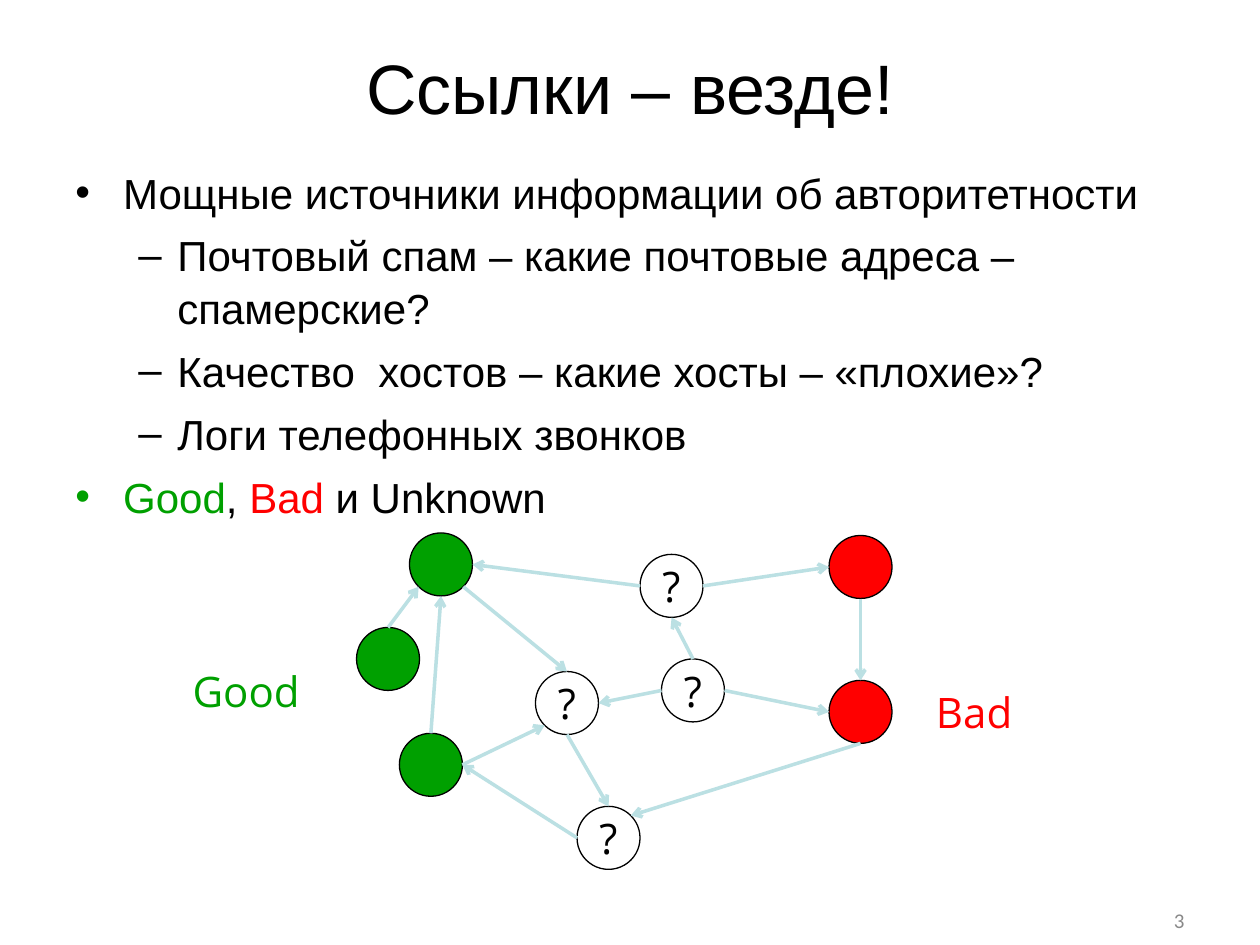
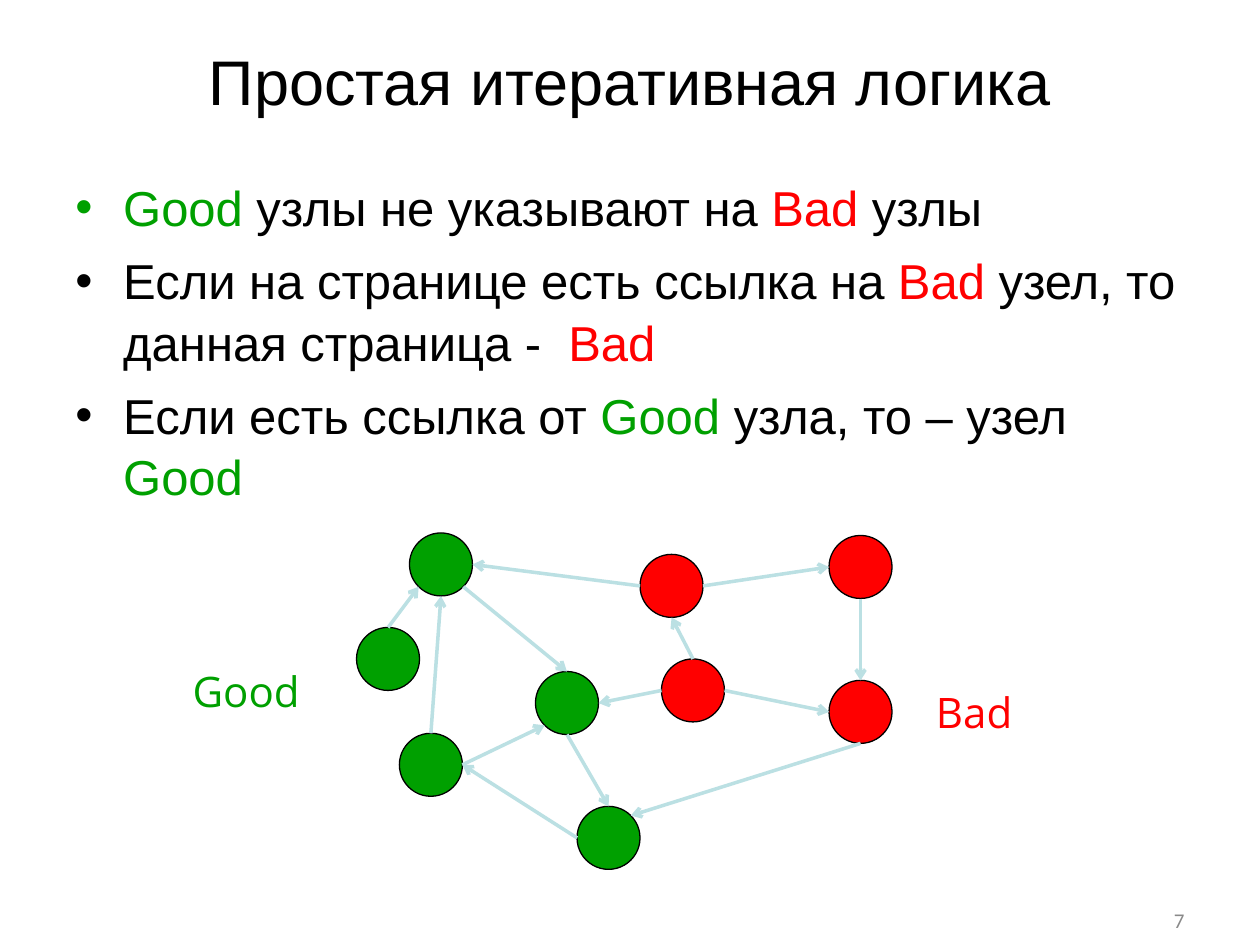
"""Build two slides on how good and bad nodes link in a graph."""
from math import cos, radians, sin

from lxml import etree
from pptx import Presentation
from pptx.dml.color import RGBColor
from pptx.enum.shapes import MSO_CONNECTOR, MSO_SHAPE
from pptx.enum.text import MSO_ANCHOR, MSO_AUTO_SIZE, PP_ALIGN
from pptx.oxml.ns import qn
from pptx.util import Inches, Pt

BLACK = RGBColor(0, 0, 0)
WHITE = RGBColor(255, 255, 255)
GREEN = RGBColor(0, 160, 0)
RED = RGBColor(255, 0, 0)
GREY = RGBColor(137, 137, 137)
PALE = RGBColor(187, 224, 227)
TONES = {"Good": GREEN, "Bad": RED}
FILLS = {"Good": GREEN, "Bad": RED, "?": WHITE}

LEFT, CENTER, RIGHT = PP_ALIGN.LEFT, PP_ALIGN.CENTER, PP_ALIGN.RIGHT
TOP, MIDDLE, BOTTOM = MSO_ANCHOR.TOP, MSO_ANCHOR.MIDDLE, MSO_ANCHOR.BOTTOM
FIXED = MSO_AUTO_SIZE.NONE
OVAL, LINE = MSO_SHAPE.OVAL, MSO_CONNECTOR.STRAIGHT

WIDE, HIGH = 10, 7.5
EDGE = 0.05 * WIDE
SPAN = WIDE - 2 * EDGE
SIZE = 0.5
LEVELS = [("•", 0.38, 0.38), ("–", 0.81, 0.31)]

SLIDES = [
    {
        "title": "Ссылки – везде!", "big": 40, "deep": 0.77, "page": "3",
        "top": 1.23, "pt": 24, "gap": 6, "unknown": "????",
        "points": [
            (0, "Мощные источники информации об авторитетности"),
            (1, "Почтовый спам – какие почтовые адреса – спамерские?"),
            (1, "Качество  хостов – какие хосты – «плохие»?"),
            (1, "Логи телефонных звонков"),
            (0, "Good|, |Bad| и Unknown"),
        ],
        "state": {"hub": "?", "mid": "?", "fork": "?", "low": "?"},
    },
    {
        "title": "Простая итеративная логика", "big": 36, "deep": 0.69, "page": "7",
        "top": 1.31, "pt": 28, "gap": 7,
        "points": [
            (0, "Good| узлы не указывают на |Bad| узлы"),
            (0, "Если на странице есть ссылка на |Bad| узел, то данная страница -  |Bad"),
            (0, "Если есть ссылка от |Good| узла, то – узел |Good"),
        ],
        "state": {"hub": "Bad", "mid": "Good", "fork": "Bad", "low": "Good"},
    },
]
SLIDES[0].pop("unknown")

KNOWN = {"west": "Good", "peak": "Good", "base": "Good", "east": "Bad", "sink": "Bad"}
NODES = {
    "west": (2.83, 4.98), "hub": (5.08, 4.4), "mid": (4.25, 5.33),
    "low": (4.58, 6.4), "east": (6.58, 4.25), "sink": (6.58, 5.4),
    "peak": (3.25, 4.23), "base": (3.17, 5.82), "fork": (5.25, 5.23),
}
LABELS = [("Good", 1.43, 5.23, 1.05), ("Bad", 7.33, 5.4, 0.81)]
ANGLES = {"E": 0, "SE": 45, "S": 90, "SW": 135, "W": 180, "N": 270, "NE": 315}
LINKS = [
    ("west", "N", "peak", "SW"), ("base", "N", "peak", "S"),
    ("east", "S", "sink", "N"), ("fork", "E", "sink", "W"),
    ("peak", "SE", "mid", "N"), ("hub", "W", "peak", "E"),
    ("hub", "E", "east", "W"), ("fork", "W", "mid", "E"),
    ("sink", "S", "low", "NE"), ("low", "W", "base", "E"),
    ("base", "E", "mid", "SW"), ("mid", "S", "low", "N"),
    ("fork", "N", "hub", "S"),
]


def box(*sizes):
    return [Inches(size) for size in sizes]


def frame(shape, **extra):
    style = {"auto_size": FIXED, "word_wrap": True, "vertical_anchor": TOP} | extra
    for key, value in style.items():
        setattr(shape.text_frame, key, value)
    return shape.text_frame


def write(para, text, size, font="Arial", color=BLACK, align=LEFT):
    para.alignment = align
    for part in text.split("|"):
        run = para.add_run()
        run.text = part
        for key, value in {"size": Pt(size), "name": font}.items():
            setattr(run.font, key, value)
        run.font.color.rgb = TONES.get(part, color)


def bullet(para, level, color):
    mark, indent, hang = LEVELS[level]
    para.level = level
    props = para._p.get_or_add_pPr()
    props.set("marL", str(Inches(indent)))
    props.set("indent", str(-Inches(hang)))
    tint = etree.SubElement(props, qn("a:buClr"))
    etree.SubElement(tint, qn("a:srgbClr"), val=str(color))
    etree.SubElement(props, qn("a:buFont"), typeface="Arial")
    etree.SubElement(props, qn("a:buChar"), char=mark)


def add_text(slide, data):
    title = slide.shapes.title
    spots = box(EDGE, 0.04 * HIGH, SPAN, data["deep"])
    for key, value in zip(("left", "top", "width", "height"), spots):
        setattr(title, key, value)
    text = frame(title, vertical_anchor=BOTTOM)
    write(text.paragraphs[0], data["title"], data["big"], align=CENTER)

    body = slide.shapes.add_textbox(*box(EDGE, data["top"], SPAN, 5.85))
    text = frame(body, margin_top=Inches(0.08))
    for count, (level, words) in enumerate(data["points"]):
        para = text.add_paragraph() if count else text.paragraphs[0]
        para.line_spacing = 1.04
        para.space_before = Pt(data["gap"])
        bullet(para, level, TONES.get(words.split("|")[0], BLACK))
        write(para, words, data["pt"])

    page = slide.shapes.add_textbox(*box(7.17, 7.17, 2.33, 0.27))
    text = frame(page, vertical_anchor=MIDDLE)
    write(text.paragraphs[0], data["page"], 12, "Calibri", GREY, RIGHT)


def site(node, side):
    angle = radians(ANGLES[side])
    x, y = NODES[node]
    half = SIZE / 2
    return box(x + half + half * cos(angle), y + half + half * sin(angle))


def add_graph(slide, state):
    shapes = slide.shapes.add_group_shape().shapes
    for name, (x, y) in NODES.items():
        kind = state[name]
        node = shapes.add_shape(OVAL, *box(x, y, SIZE, SIZE))
        node.shadow.inherit = False
        node.fill.solid()
        node.fill.fore_color.rgb = FILLS[kind]
        node.line.color.rgb = BLACK
        node.line.width = Pt(0.75)
        if kind == "?":
            text = frame(node, word_wrap=False, vertical_anchor=MIDDLE)
            write(text.paragraphs[0], kind, 24, "Open Sans", align=CENTER)
    for name, x, y, width in LABELS:
        label = shapes.add_textbox(*box(x, y, width, SIZE))
        write(frame(label, word_wrap=False).paragraphs[0], name, 24, "Open Sans")
    for start, out, end, into in LINKS:
        link = shapes.add_connector(LINE, *site(start, out), *site(end, into))
        link.line.color.rgb = PALE
        link.line.width = Pt(2)
        etree.SubElement(link.line._get_or_add_ln(), qn("a:tailEnd"), type="arrow")
        etree.SubElement(link._element.spPr, qn("a:effectLst"))


def main():
    deck = Presentation()
    deck.slide_width, deck.slide_height = box(WIDE, HIGH)
    for data in SLIDES:
        slide = deck.slides.add_slide(deck.slide_layouts[5])
        add_text(slide, data)
        add_graph(slide, KNOWN | data["state"])
    deck.save("out.pptx")


if __name__ == "__main__":
    main()
